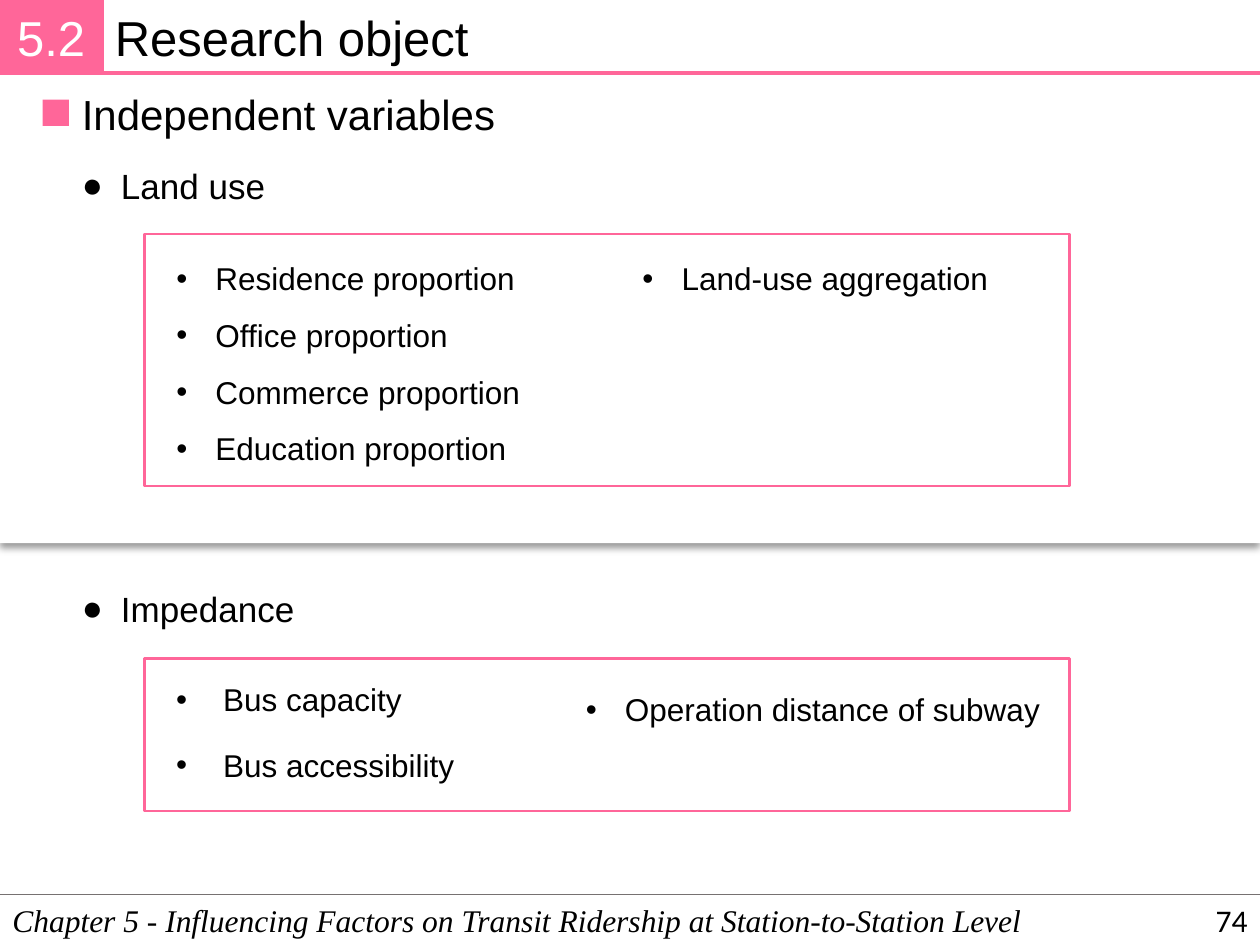
from lxml.etree import SubElement
from pptx import Presentation
from pptx.dml.color import RGBColor
from pptx.enum.shapes import MSO_CONNECTOR, MSO_SHAPE
from pptx.enum.text import MSO_ANCHOR, MSO_AUTO_SIZE, PP_ALIGN
from pptx.oxml.ns import qn
from pptx.util import Cm, Pt

PINK, BLACK, WHITE, GREY = "FF6699", "000000", "FFFFFF", "767171"
WIDTH, HEIGHT = 25.4, 19.05


def color(hex_string):
    return RGBColor.from_string(hex_string)


class SlideBuilder:
    font = "Arial"

    def __init__(self, slide):
        self.slide = slide

    def place(self, shape, box):
        shape.left, shape.top, shape.width, shape.height = map(Cm, box)

    def fill_text(self, shape, lines, size, ink=BLACK, font=None, italic=False,
                  align=PP_ALIGN.LEFT, anchor=MSO_ANCHOR.TOP, wrap=True,
                  bullet=None, indent=0.79, spacing=1.0):
        frame = shape.text_frame
        frame.word_wrap = wrap
        frame.auto_size = MSO_AUTO_SIZE.NONE
        frame.vertical_anchor = anchor
        for index, line in enumerate(lines):
            paragraph = frame.add_paragraph() if index else frame.paragraphs[0]
            paragraph.alignment = align
            paragraph.line_spacing = spacing
            paragraph.space_before = Pt(0)
            if bullet:
                self.add_bullet(paragraph, bullet, indent)
            run = paragraph.add_run()
            run.text = line
            run.font.name = font or self.font
            run.font.size = Pt(size)
            run.font.italic = italic
            run.font.color.rgb = color(ink)

    def add_bullet(self, paragraph, bullet, indent):
        properties = paragraph._p.get_or_add_pPr()
        properties.set("marL", str(Cm(indent)))
        properties.set("indent", str(-Cm(indent)))
        SubElement(properties, qn("a:buFont"), typeface=self.font)
        SubElement(properties, qn("a:buChar"), char=bullet)

    def placeholder(self, index, box, lines, size, **style):
        shape = self.slide.placeholders[index]
        self.place(shape, box)
        self.fill_text(shape, lines, size, **style)

    def text(self, box, lines, size, **style):
        shape = self.slide.shapes.add_textbox(*map(Cm, box))
        self.fill_text(shape, lines, size, **style)

    def rectangle(self, box, fill=None, line=None, line_width=1.5):
        shape = self.slide.shapes.add_shape(MSO_SHAPE.RECTANGLE, *map(Cm, box))
        shape.shadow.inherit = False
        if fill:
            shape.fill.solid()
            shape.fill.fore_color.rgb = color(fill)
        else:
            shape.fill.background()
        if line:
            shape.line.color.rgb = color(line)
            shape.line.width = Pt(line_width)
        else:
            shape.line.fill.background()
        return shape

    def backdrop(self, box):
        """Add a white panel with a soft lower shadow behind everything else."""
        panel = self.rectangle(box, fill=WHITE)
        effects = panel._element.spPr.find(qn("a:effectLst"))
        shadow = SubElement(effects, qn("a:outerShdw"), blurRad=str(Pt(4)),
                            dist=str(Pt(3)), dir="5400000", algn="t", rotWithShape="0")
        shade = SubElement(shadow, qn("a:srgbClr"), val=BLACK)
        SubElement(shade, qn("a:alpha"), val="40000")
        self.slide.shapes._spTree.insert(2, panel._element)

    def rule(self, left, top, ink, line_width):
        """Draw a horizontal line from left to the slide's right edge."""
        line = self.slide.shapes.add_connector(
            MSO_CONNECTOR.STRAIGHT, Cm(left), Cm(top), Cm(WIDTH), Cm(top))
        line.line.color.rgb = color(ink)
        line.line.width = Pt(line_width)
        SubElement(line._element.spPr, qn("a:effectLst"))


def main():
    deck = Presentation()
    deck.slide_width, deck.slide_height = Cm(WIDTH), Cm(HEIGHT)
    builder = SlideBuilder(deck.slides.add_slide(deck.slide_layouts[1]))

    # Header
    builder.backdrop((0, 1.5, WIDTH, 9.45))
    builder.placeholder(0, (2.06, 0.03, 23.34, 1.45), ["Research object"], 28)
    section = builder.rectangle((0, 0, 2.06, 1.47), PINK, PINK, 2.25)
    frame = section.text_frame
    frame.margin_left = frame.margin_right = Cm(0.15)
    frame.margin_top = frame.margin_bottom = Cm(0.15)
    builder.fill_text(section, ["5.2"], 28, ink=WHITE, align=PP_ALIGN.CENTER,
                      anchor=MSO_ANCHOR.MIDDLE)
    builder.rule(2.06, 1.47, PINK, 2.25)

    # Footer
    footer_top = 18.03
    builder.rule(0, footer_top, GREY, 1)
    builder.text((0, footer_top, WIDTH, 1.02),
                 ["Chapter 5 - Influencing Factors on Transit Ridership "
                  "at Station-to-Station Level"],
                 18, font="Times New Roman", italic=True)
    builder.text((19.69, footer_top, 5.71, 1.02), ["74"], 18, font="Calibri",
                 align=PP_ALIGN.RIGHT, anchor=MSO_ANCHOR.MIDDLE)

    # Headings
    builder.rectangle((0.86, 2.01, 0.53, 0.53), fill=PINK)
    builder.text((1.4, 1.65, 8.89, 1.27), ["Independent variables"], 24, wrap=False)
    for group, top, width in (("Land use", 3.2, 4.24), ("Impedance", 11.71, 4.83)):
        builder.text((1.4, top, width, 1.12), [group], 20, bullet="●", wrap=False)

    # Variables in each group
    for top, height in ((4.72, 5.08), (13.28, 3.07)):
        builder.rectangle((2.92, top, 18.64, height), line=PINK)
    builder.placeholder(1, (3.3, 4.72, 7.52, 4.72),
                        [f"{use} proportion" for use in
                         ("Residence", "Office", "Commerce", "Education")],
                        18, bullet="•", spacing=1.5, wrap=False)
    builder.text((12.7, 4.72, 7.54, 1.27), ["Land-use aggregation"], 18,
                 bullet="•", spacing=1.5, wrap=False)
    for variable, top in (("Bus capacity", 13.59), ("Bus accessibility", 14.91)):
        builder.text((3.3, top, 7.19, 1.02), [variable], 18, bullet="•", indent=0.95)
    builder.text((11.56, 13.79, 10.01, 1.02), ["Operation distance of subway"], 18,
                 bullet="•")

    deck.save("out.pptx")


if __name__ == "__main__":
    main()
